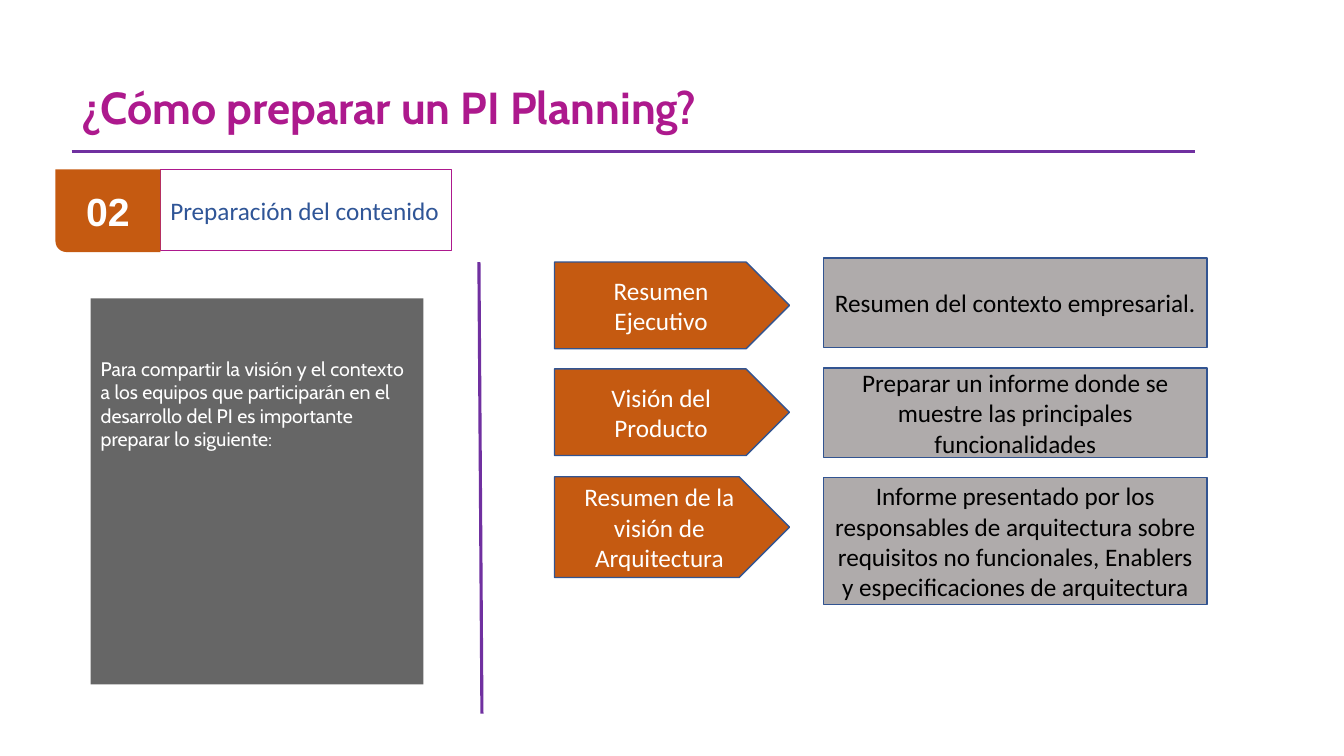
from dataclasses import dataclass

from lxml import etree
from pptx import Presentation
from pptx import util as u
from pptx.dml.color import RGBColor
from pptx.enum import shapes, text
from pptx.oxml.ns import qn

ORANGE, PURPLE, MAGENTA = "C55A11", "7030A0", "AD198D"
GRAY, DARK, BLUE, OUTLINE = "AFABAB", "404040", "2F5597", "325491"
WHITE, BLACK = "FFFFFF", "000000"
CENTER, LEFT = text.PP_ALIGN.CENTER, text.PP_ALIGN.LEFT
MIDDLE, TOP = text.MSO_ANCHOR.MIDDLE, text.MSO_ANCHOR.TOP
KIND = shapes.MSO_SHAPE


@dataclass
class Area:
    left: float
    top: float
    width: float
    height: float

    def lengths(self) -> list:
        return [u.Inches(n) for n in (self.left, self.top, self.width, self.height)]


@dataclass
class Style:
    size: float
    color: str
    font: str = "Calibri"
    bold: bool = False
    align: text.PP_ALIGN = CENTER
    anchor: text.MSO_ANCHOR = MIDDLE
    wrap: bool = True
    spacing: float = 1.0


@dataclass
class Topic:
    name: str
    arrow_top: float
    arrow_height: float
    detail: str
    detail_top: float
    detail_height: float


TOPICS = [
    Topic("Resumen Ejecutivo", 2.6, 0.86,
          "Resumen del contexto empresarial.", 2.56, 0.89),
    Topic("Visión del Producto", 3.66, 0.86,
          "Preparar un informe donde se muestre las principales funcionalidades",
          3.65, 0.89),
    Topic("Resumen de la visión de Arquitectura", 4.73, 1,
          "Informe presentado por los responsables de arquitectura sobre requisitos "
          "no funcionales, Enablers y especificaciones de arquitectura", 4.74, 1.26),
]


def rgb(color: str) -> RGBColor:
    return RGBColor.from_string(color)


def write(box, words: str, style: Style) -> None:
    frame = box.text_frame
    frame.word_wrap = style.wrap
    frame.vertical_anchor = style.anchor
    para = frame.paragraphs[0]
    para.alignment = style.align
    para.line_spacing = style.spacing
    span = para.add_run()
    span.text = words
    span.font.name = style.font
    span.font.size = u.Pt(style.size)
    span.font.bold = style.bold
    span.font.color.rgb = rgb(style.color)


def add_text(page, area: Area, words: str, style: Style) -> None:
    write(page.shapes.add_textbox(*area.lengths()), words, style)


def add_box(page, kind: KIND, area: Area, fill: str = "", line: str = "",
            weight: float = 1):
    """An empty colour means no fill or no outline."""
    box = page.shapes.add_shape(kind, *area.lengths())
    box.shadow.inherit = False
    if fill:
        box.fill.solid()
        box.fill.fore_color.rgb = rgb(fill)
    else:
        box.fill.background()
    if line:
        box.line.color.rgb = rgb(line)
        box.line.width = u.Pt(weight)
    else:
        box.line.fill.background()
    return box


def set_opacity(box, percent: int) -> None:
    color = box.fill._xPr.find(qn("a:solidFill"))[0]
    etree.SubElement(color, qn("a:alpha")).set("val", str(percent * 1000))


def add_rule(page, x1: float, y1: float, x2: float, y2: float) -> None:
    ends = [u.Inches(n) for n in (x1, y1, x2, y2)]
    rule = page.shapes.add_connector(shapes.MSO_CONNECTOR.STRAIGHT, *ends)
    rule.line.color.rgb = rgb(PURPLE)
    rule.line.width = u.Pt(2.25)
    etree.SubElement(rule._element.spPr, qn("a:effectLst"))


def add_badge(page, area: Area, number: str) -> None:
    badge = add_box(page, KIND.ROUND_1_RECTANGLE, area, ORANGE)
    badge.adjustments[0] = 0.13
    badge.rotation = 180  # moves the round corner to the bottom left
    add_text(page, area, number, Style(28, WHITE, "Arial", bold=True, wrap=False))


def add_topic(page, topic: Topic) -> None:
    arrow = add_box(page, KIND.PENTAGON,
                    Area(5.5, topic.arrow_top, 2.33, topic.arrow_height),
                    ORANGE, OUTLINE)
    write(arrow, topic.name, Style(18, WHITE))
    detail = add_box(page, KIND.FLOWCHART_PROCESS,
                     Area(8.17, topic.detail_top, 3.8, topic.detail_height),
                     GRAY, OUTLINE)
    write(detail, topic.detail, Style(18, BLACK))


def main() -> None:
    deck = Presentation()
    deck.slide_width, deck.slide_height = u.Inches(13.33), u.Inches(7.5)
    page = deck.slides.add_slide(deck.slide_layouts[6])

    heading = add_box(page, KIND.RECTANGLE, Area(1.59, 1.68, 2.89, 0.81),
                      line=MAGENTA, weight=0.75)
    write(heading, "Preparación del contenido", Style(18, BLUE, align=LEFT))
    panel = add_box(page, KIND.RECTANGLE, Area(0.9, 2.96, 3.3, 3.83), DARK)
    set_opacity(panel, 80)

    add_text(page, Area(0.71, 0.79, 10.33, 0.61), "¿Cómo preparar un PI Planning?",
             Style(32, MAGENTA, "Cabin", bold=True, align=LEFT, spacing=0.9))
    add_rule(page, 0.71, 1.5, 11.85, 1.5)
    add_badge(page, Area(0.55, 1.68, 1.04, 0.82), "02")
    add_text(page, Area(0.9, 3.49, 3.22, 1.04),
             "Para compartir la visión y el contexto a los equipos que participarán "
             "en el desarrollo del PI es importante preparar lo siguiente:",
             Style(14, WHITE, "Cabin", align=LEFT, anchor=TOP))
    add_rule(page, 4.78, 7.08, 4.75, 2.6)
    for topic in TOPICS:
        add_topic(page, topic)

    deck.save("out.pptx")


if __name__ == "__main__":
    main()
